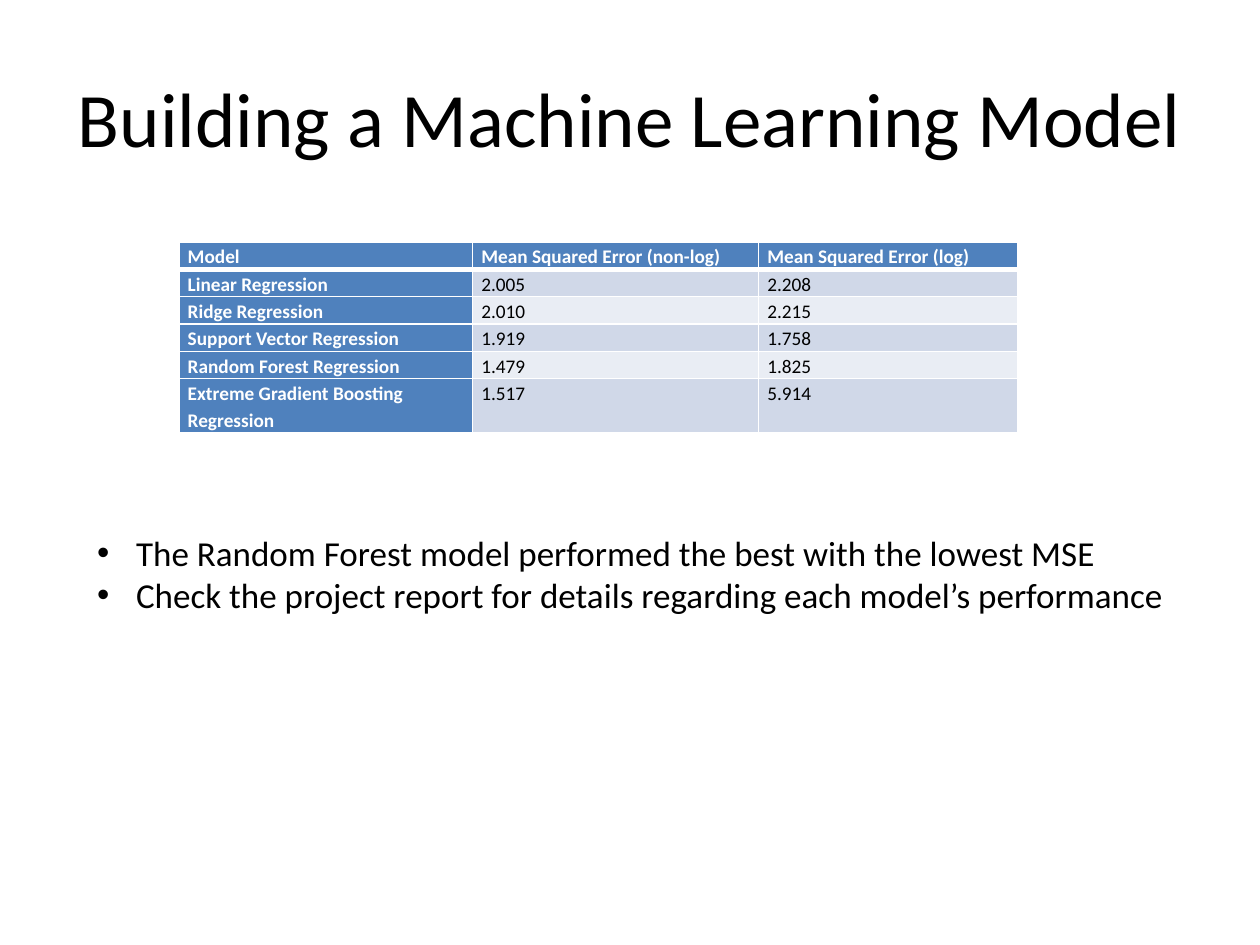
from lxml.etree import SubElement
from pptx import Presentation
from pptx.dml.color import RGBColor
from pptx.enum.text import MSO_ANCHOR, MSO_AUTO_SIZE, PP_ALIGN
from pptx.oxml.ns import qn
from pptx.util import Inches, Pt

# Content
TITLE = "Building a Machine Learning Model"
RESULTS = [
    ("Model", "Mean Squared Error (non-log)", "Mean Squared Error (log)"),
    ("Linear Regression", "2.005", "2.208"),
    ("Ridge Regression", "2.010", "2.215"),
    ("Support Vector Regression", "1.919", "1.758"),
    ("Random Forest Regression", "1.479", "1.825"),
    ("Extreme Gradient Boosting Regression", "1.517", "5.914"),
]
FINDINGS = [
    "The Random Forest model performed the best with the lowest MSE",
    "Check the project report for details regarding each model’s performance",
]
COLUMN_WIDTHS = (2.33, 2.27, 2.06)
ROW_HEIGHT = 0.21
HEADING_FILL, BAND_FILLS = "4F81BD", ("E9EDF4", "D0D8E8")
WHITE, BLACK = "FFFFFF", "000000"


def color(hex_string):
    return RGBColor.from_string(hex_string)


def place(shape, left, top, width, height):
    shape.left, shape.top = Inches(left), Inches(top)
    shape.width, shape.height = Inches(width), Inches(height)


def format_runs(paragraph, size, hex_string, bold=False):
    for run in paragraph.runs:
        run.font.name, run.font.size, run.font.bold = "Calibri", Pt(size), bold
        run.font.color.rgb = color(hex_string)


def add_borders(cell, bottom_width):
    properties = cell._tc.get_or_add_tcPr()
    for side, width in (("L", 1), ("R", 1), ("T", 1), ("B", bottom_width)):
        line = SubElement(properties, qn(f"a:ln{side}"), w=str(Pt(width)))
        SubElement(SubElement(line, qn("a:solidFill")), qn("a:srgbClr"), val=WHITE)


presentation = Presentation()
presentation.slide_width, presentation.slide_height = Inches(10), Inches(7.5)
slide = presentation.slides.add_slide(presentation.slide_layouts[1])
title, body = slide.placeholders

# Title
place(title, 0.5, 0.3, 9, 1.25)
title.text_frame.text = TITLE
title.text_frame.vertical_anchor = MSO_ANCHOR.MIDDLE
title.text_frame.paragraphs[0].alignment = PP_ALIGN.CENTER
format_runs(title.text_frame.paragraphs[0], 44, BLACK)

# Table of model errors
table = slide.shapes.add_table(
    len(RESULTS), len(COLUMN_WIDTHS), Inches(1.42), Inches(1.92),
    Inches(sum(COLUMN_WIDTHS)), Inches(ROW_HEIGHT * len(RESULTS))).table
table.first_col = True
for column, width in zip(table.columns, COLUMN_WIDTHS):
    column.width = Inches(width)
for row_index, values in enumerate(RESULTS):
    table.rows[row_index].height = Inches(ROW_HEIGHT)
    for column_index, value in enumerate(values):
        cell = table.cell(row_index, column_index)
        heading = row_index == 0 or column_index == 0
        cell.text = value
        cell.margin_left = cell.margin_right = Inches(0.07)
        cell.margin_top = cell.margin_bottom = 0
        add_borders(cell, 3 if row_index == 0 else 1)
        cell.fill.solid()
        cell.fill.fore_color.rgb = color(HEADING_FILL if heading else BAND_FILLS[row_index % 2])
        paragraph = cell.text_frame.paragraphs[0]
        paragraph.line_spacing = 1.15
        format_runs(paragraph, 11, WHITE if heading else BLACK, heading)

# Findings
place(body, 0.67, 4.17, 8.67, 1.11)
body.text_frame.text = "\n".join(FINDINGS)
body.text_frame.auto_size = MSO_AUTO_SIZE.NONE
for paragraph in body.text_frame.paragraphs:
    paragraph.space_before = Pt(0)
    properties = paragraph._p.get_or_add_pPr()
    properties.set("marL", str(Inches(0.31)))
    properties.set("indent", str(-Inches(0.31)))
    SubElement(properties, qn("a:buFont"), typeface="Arial")
    SubElement(properties, qn("a:buChar"), char="•")
    format_runs(paragraph, 20, BLACK)

presentation.save("out.pptx")
